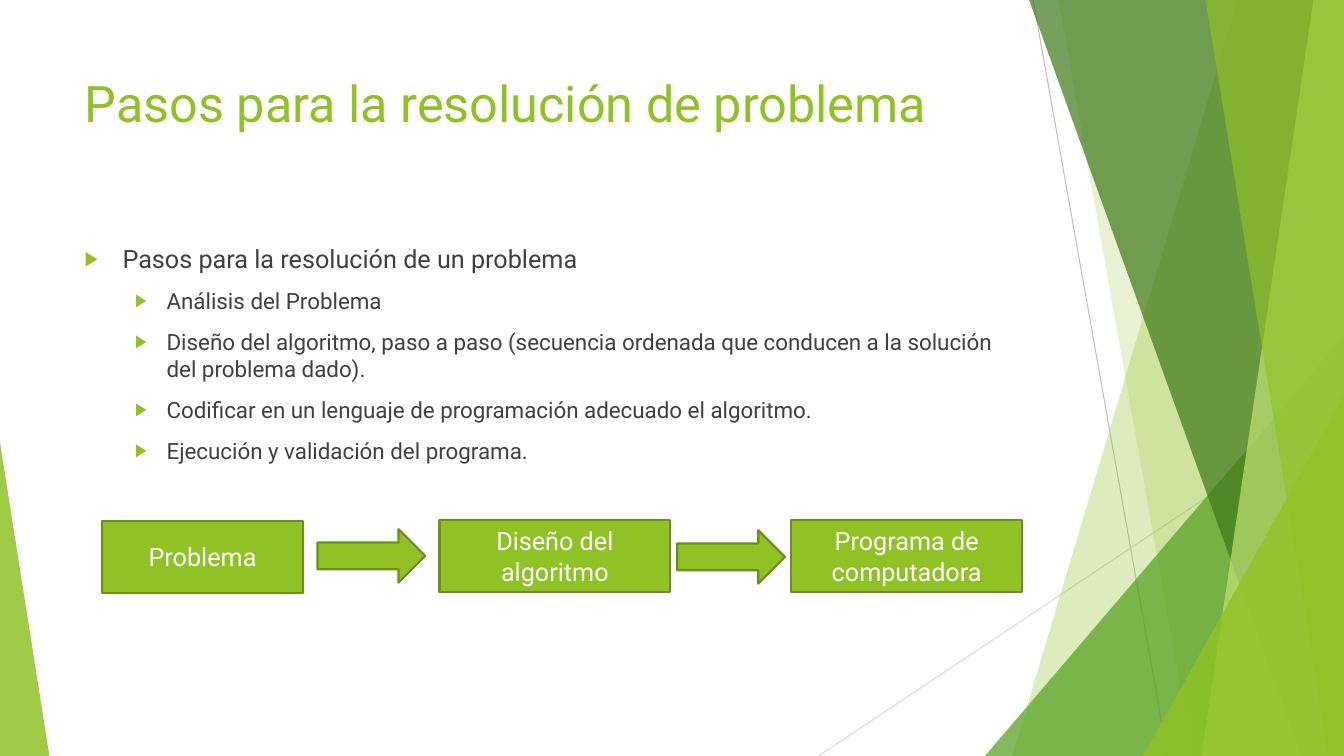
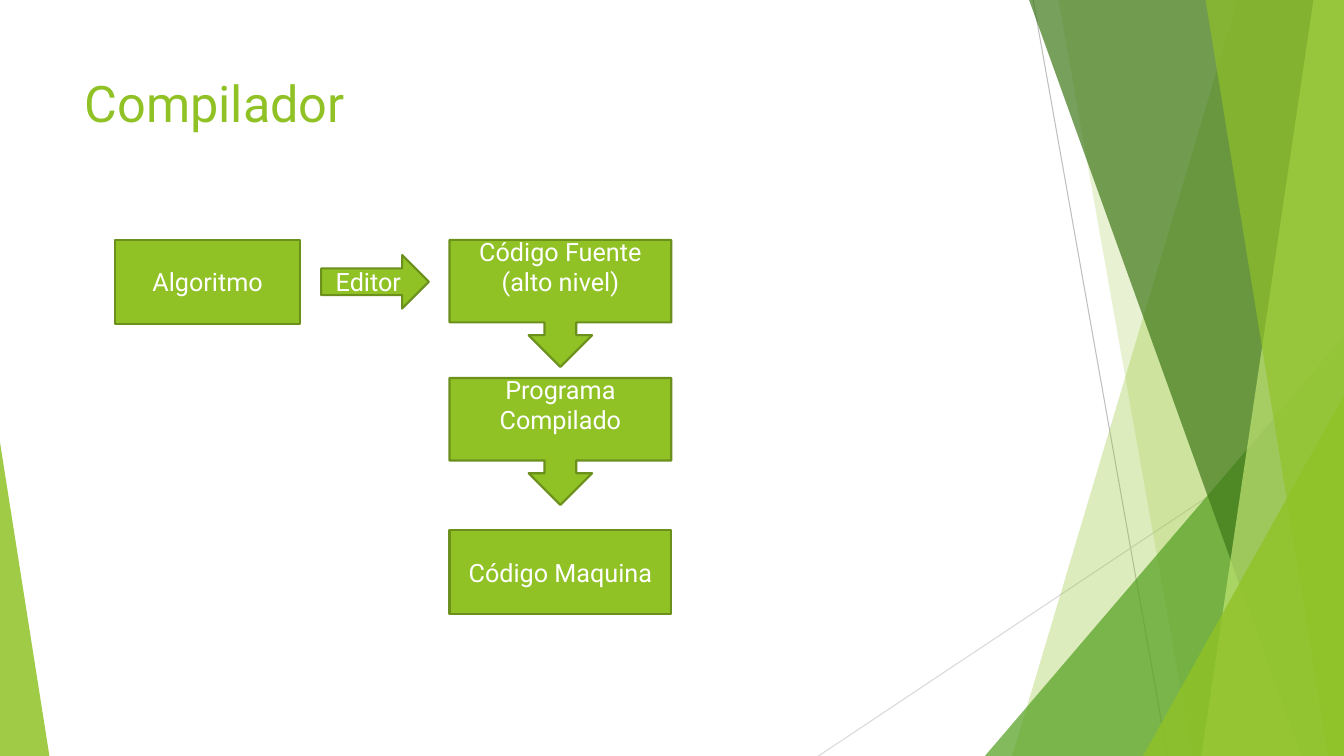
from dataclasses import dataclass

from lxml.etree import SubElement
from pptx import Presentation
from pptx.dml.color import RGBColor
from pptx.enum.shapes import MSO_CONNECTOR, MSO_SHAPE
from pptx.enum.text import MSO_ANCHOR, MSO_AUTO_SIZE, PP_ALIGN
from pptx.oxml.ns import qn
from pptx.util import Pt

LIME = RGBColor(0x90, 0xC2, 0x26)
GREEN = RGBColor(0x54, 0xA0, 0x21)
FOREST = RGBColor(0x3F, 0x78, 0x19)
PALE_LIME = RGBColor(0xC0, 0xE4, 0x74)
OLIVE = RGBColor(0x6B, 0x90, 0x1C)
SILVER = RGBColor(0xBF, 0xBF, 0xBF)
LIGHT_GRAY = RGBColor(0xD9, 0xD9, 0xD9)
DARK_GRAY = RGBColor(0x40, 0x40, 0x40)
WHITE = RGBColor(0xFF, 0xFF, 0xFF)

WIDTH, HEIGHT = 960, 540
FONT = "Roboto"
LEFT, CONTENT_WIDTH = 53.3, 676.8
ARROW_SIZE = (77, 38.2)
FRAME_FORMAT = {"word_wrap": True, "auto_size": MSO_AUTO_SIZE.NONE}
PLAIN_FRAME = FRAME_FORMAT | {"vertical_anchor": MSO_ANCHOR.TOP}
BLOCK_FRAME = FRAME_FORMAT | {"vertical_anchor": MSO_ANCHOR.MIDDLE}
CALLOUT_FRAME = BLOCK_FRAME | {"margin_bottom": Pt(24.7)}
LEVELS = ((18, 27, -27), (16, 58.5, -22.5))


@dataclass(frozen=True)
class Facet:
    """A translucent band running from the top edge to the bottom edge."""
    top_x: float
    bottom_x: float
    color: RGBColor
    opacity: int


@dataclass(frozen=True)
class Wedge:
    """A translucent right triangle resting on the bottom edge."""
    left: float
    top: float
    width: float
    apex: int
    color: RGBColor
    opacity: int


@dataclass(frozen=True)
class Ray:
    """A thin line behind the facets."""
    start: tuple[float, float]
    end: tuple[float, float]
    color: RGBColor


@dataclass(frozen=True)
class Block:
    """A step or an arrow of a flow."""
    left: float
    top: float
    width: float
    height: float
    label: str = ""
    kind: MSO_SHAPE = MSO_SHAPE.RECTANGLE


RAYS = (
    Ray((738, 0), (834, HEIGHT), SILVER),
    Ray((WIDTH, 290), (584.6, HEIGHT), LIGHT_GRAY),
)
DECORATION = (
    Facet(884.2, 723, LIME, 30),
    Facet(756, 851.8, LIME, 20),
    Wedge(703.5, 240, 256.5, 1, GREEN, 72),
    Facet(735.1, 929.5, FOREST, 70),
    Facet(938.2, 858.2, PALE_LIME, 70),
    Facet(861.1, 949, LIME, 65),
    Wedge(816.5, 283, 143.5, 1, LIME, 80),
    Wedge(0, 316, 35.3, 0, LIME, 85),
)
STEPS = (
    (0, "Pasos para la resolución de un problema"),
    (1, "Análisis del Problema"),
    (1, "Diseño del algoritmo, paso a paso (secuencia ordenada que conducen a la solución del problema dado)."),
    (1, "Codificar en un lenguaje de programación adecuado el algoritmo."),
    (1, "Ejecución y validación del programa."),
)
SOLUTION_FLOW = (
    Block(72.7, 372.2, 144, 51.1, "Problema"),
    Block(313.9, 371.5, 164.9, 51.1, "Diseño del algoritmo"),
    Block(565.2, 371.5, 164.9, 51.1, "Programa de computadora"),
    Block(226.8, 378, *ARROW_SIZE, kind=MSO_SHAPE.RIGHT_ARROW),
    Block(483.8, 378.7, *ARROW_SIZE, kind=MSO_SHAPE.RIGHT_ARROW),
)
COMPILER_FLOW = (
    Block(82.1, 171.4, 132.5, 59.8, "Algoritmo"),
    Block(321.1, 378.7, 158.4, 59.8, "Código Maquina"),
    Block(229.4, 182.2, *ARROW_SIZE, "Editor", MSO_SHAPE.RIGHT_ARROW),
    Block(321.1, 171.4, 158.4, 90.7, "Código Fuente (alto nivel)", MSO_SHAPE.DOWN_ARROW_CALLOUT),
    Block(321.1, 270, 158.4, 90.7, "Programa Compilado", MSO_SHAPE.DOWN_ARROW_CALLOUT),
)


def apply_format(target, values: dict) -> None:
    """Set every attribute named in the format values."""
    for attribute, value in values.items():
        setattr(target, attribute, value)


def write(paragraph, text: str, size: float, color: RGBColor) -> None:
    """Add a run in the deck font."""
    run = paragraph.add_run()
    run.text = text
    apply_format(run.font, {"name": FONT, "size": Pt(size)})
    run.font.color.rgb = color


def place(shape, left: float, top: float, width: float, height: float) -> None:
    """Move and size a shape in points."""
    apply_format(shape, {"left": Pt(left), "top": Pt(top), "width": Pt(width), "height": Pt(height)})


def paint(shape, color: RGBColor, opacity: int) -> None:
    """Give a decoration its translucent fill without outline."""
    shape.shadow.inherit = False
    shape.line.fill.background()
    shape.fill.solid()
    shape.fill.fore_color.rgb = color
    tint = shape.element.xpath(".//p:spPr/a:solidFill/a:srgbClr")[0]
    SubElement(tint, qn("a:alpha"), val=str(opacity * 1000))


def draw_ray(slide, ray: Ray):
    """Draw one thin background line."""
    line = slide.shapes.add_connector(MSO_CONNECTOR.STRAIGHT, *map(Pt, ray.start + ray.end))
    line.line.color.rgb = ray.color
    line.line.width = Pt(0.75)
    SubElement(line.element.spPr, qn("a:effectLst"))
    return line


def draw_decoration(slide, part: Facet | Wedge):
    """Draw one facet or wedge."""
    if isinstance(part, Facet):
        outline = slide.shapes.build_freeform(Pt(part.top_x), 0)
        corners = ((WIDTH, 0), (WIDTH, HEIGHT), (part.bottom_x, HEIGHT))
        outline.add_line_segments([(Pt(x), Pt(y)) for x, y in corners])
        shape = outline.convert_to_shape()
    else:
        box = (part.left, part.top, part.width, HEIGHT - part.top)
        shape = slide.shapes.add_shape(MSO_SHAPE.ISOSCELES_TRIANGLE, *map(Pt, box))
        shape.adjustments[0] = part.apex
    paint(shape, part.color, part.opacity)
    return shape


def decorate_master(deck, slide) -> None:
    """Draw the shared background and hand it to the slide master."""
    parts = [draw_ray(slide, ray) for ray in RAYS]
    parts += [draw_decoration(slide, part) for part in DECORATION]
    for index, part in enumerate(parts):
        part.element.xpath(".//p:cNvPr")[0].set("id", str(100 + index))
        deck.slide_master.shapes.element.insert(2 + index, part.element)


def add_titled_slide(deck, layout: int, heading: str):
    """Add a slide and set its title."""
    slide = deck.slides.add_slide(deck.slide_layouts[layout])
    title = slide.shapes.title
    place(title, LEFT, 48, CONTENT_WIDTH, 103.7)
    apply_format(title.text_frame, PLAIN_FRAME)
    paragraph = title.text_frame.paragraphs[0]
    paragraph.alignment = PP_ALIGN.LEFT
    write(paragraph, heading, 36, LIME)
    return slide


def set_bullet(paragraph, margin: float, indent: float) -> None:
    """Give a paragraph the green triangle bullet."""
    properties = paragraph._p.get_or_add_pPr()
    properties.set("marL", str(Pt(margin)))
    properties.set("indent", str(Pt(indent)))
    SubElement(SubElement(properties, qn("a:buClr")), qn("a:srgbClr"), val=str(LIME))
    SubElement(properties, qn("a:buSzPct"), val="80000")
    SubElement(properties, qn("a:buChar"), char="▶")


def fill_steps(body) -> None:
    """Write the bulleted steps into the body placeholder."""
    place(body, LEFT, 170, CONTENT_WIDTH, 305.3)
    frame = body.text_frame
    apply_format(frame, PLAIN_FRAME)
    for index, (level, text) in enumerate(STEPS):
        paragraph = frame.add_paragraph() if index else frame.paragraphs[0]
        size, margin, indent = LEVELS[level]
        apply_format(paragraph, {"level": level, "space_before": Pt(10)})
        set_bullet(paragraph, margin, indent)
        write(paragraph, text, size, DARK_GRAY)


def draw_block(slide, block: Block) -> None:
    """Draw one step or arrow of a flow."""
    box = (block.left, block.top, block.width, block.height)
    shape = slide.shapes.add_shape(block.kind, *map(Pt, box))
    shape.shadow.inherit = False
    shape.fill.solid()
    shape.fill.fore_color.rgb = LIME
    shape.line.color.rgb = OLIVE
    shape.line.width = Pt(1.5)
    if block.label:
        is_callout = block.kind == MSO_SHAPE.DOWN_ARROW_CALLOUT
        apply_format(shape.text_frame, CALLOUT_FRAME if is_callout else BLOCK_FRAME)
        paragraph = shape.text_frame.paragraphs[0]
        paragraph.alignment = PP_ALIGN.CENTER
        write(paragraph, block.label, 18, WHITE)


def main() -> None:
    """Build the two slides and save them."""
    deck = Presentation()
    apply_format(deck, {"slide_width": Pt(WIDTH), "slide_height": Pt(HEIGHT)})
    solution = add_titled_slide(deck, 1, "Pasos para la resolución de problema")
    decorate_master(deck, solution)
    fill_steps(solution.placeholders[1])
    compiler = add_titled_slide(deck, 5, "Compilador")
    for slide, flow in ((solution, SOLUTION_FLOW), (compiler, COMPILER_FLOW)):
        for block in flow:
            draw_block(slide, block)
    deck.save("out.pptx")


if __name__ == "__main__":
    main()
